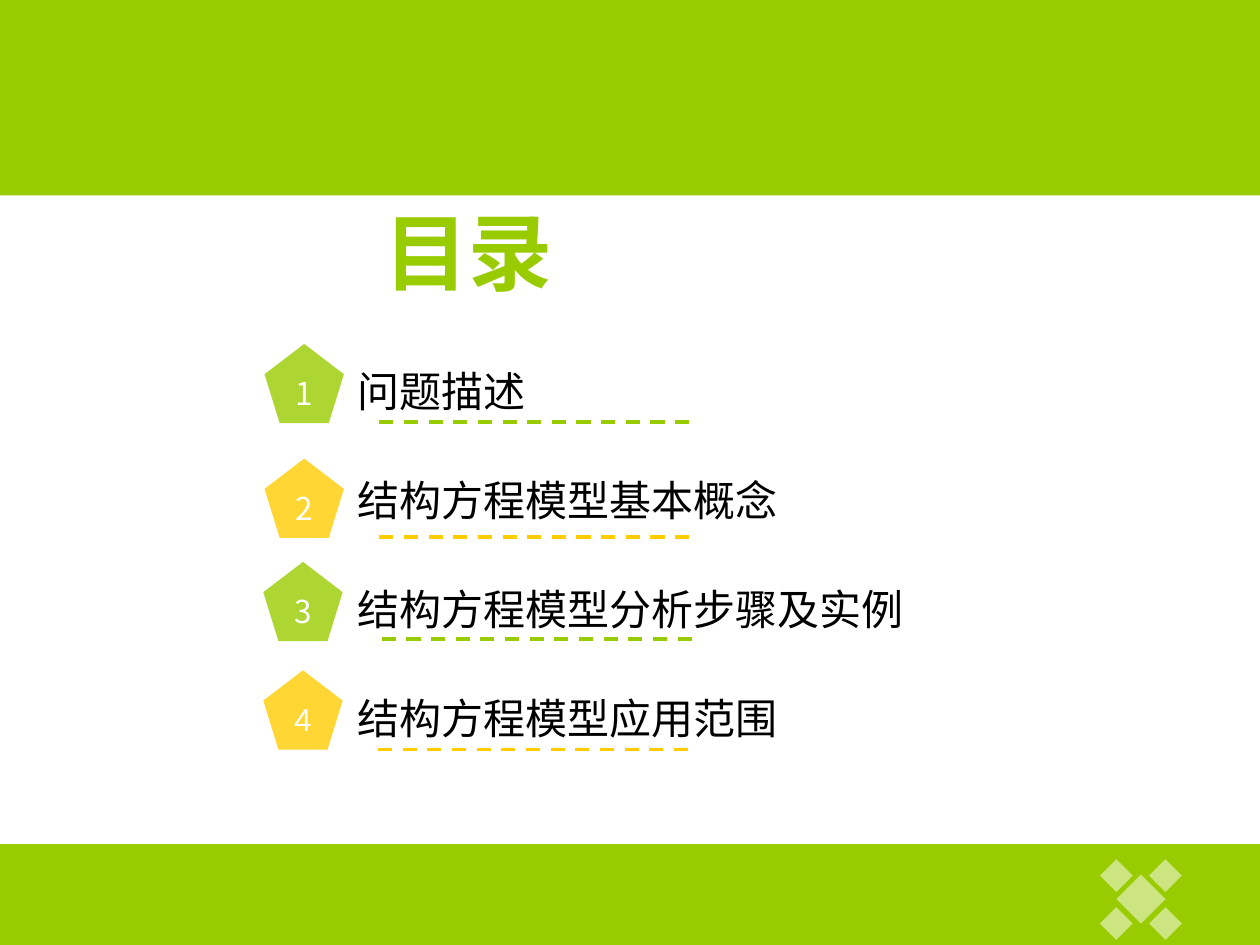
from dataclasses import dataclass

from lxml.etree import SubElement
from pptx import Presentation
from pptx.dml.color import RGBColor
from pptx.enum.dml import MSO_LINE
from pptx.enum.shapes import MSO_CONNECTOR, MSO_SHAPE
from pptx.enum.text import MSO_ANCHOR, PP_ALIGN
from pptx.oxml.ns import qn
from pptx.util import Inches, Pt

GREEN = RGBColor(0x99, 0xCC, 0x00)
YELLOW = RGBColor(0xFF, 0xCC, 0x00)
WHITE = RGBColor(0xFF, 0xFF, 0xFF)
BLACK = RGBColor(0x00, 0x00, 0x00)
LATIN_FONT = "Arial"
CHINESE_FONT = "Noto Sans CJK SC"
BADGE_SIZE = 0.63
RULE_LENGTH = 2.52


@dataclass(frozen=True)
class Topic:
    title: str
    color: RGBColor
    badge_left: float
    badge_top: float
    rule_left: float
    rule_top: float
    badge_font: str = CHINESE_FONT


@dataclass(frozen=True)
class Diamond:
    left: float
    top: float
    size: float


TOPICS = (
    Topic("问题描述", GREEN, 2.1, 2.73, 3.01, 3.35),
    Topic("结构方程模型基本概念", YELLOW, 2.1, 3.64, 3.01, 4.26),
    Topic("结构方程模型分析步骤及实例", GREEN, 2.09, 4.46, 3.03, 5.07),
    Topic("结构方程模型应用范围", YELLOW, 2.09, 5.32, 3, 5.95, LATIN_FONT),
)
DIAMONDS = (
    Diamond(8.86, 6.94, 0.39),
    *(Diamond(left, top, 0.26) for top in (7.2, 6.82) for left in (8.73, 9.12)),
)


def add_block(page, kind, left: float, top: float, width: float, height: float,
              color: RGBColor, opacity: int = 100):
    block = page.shapes.add_shape(
        kind, Inches(left), Inches(top), Inches(width), Inches(height))
    block.shadow.inherit = False
    block.fill.solid()
    block.fill.fore_color.rgb = color
    block.line.fill.background()
    if opacity < 100:
        tint = block.fill._xPr.find(qn("a:solidFill"))[0]
        SubElement(tint, qn("a:alpha"), val=str(opacity * 1000))
    return block


def write_span(para, text: str, color: RGBColor, **font_values) -> None:
    span = para.add_run()
    span.text = text
    span.font.color.rgb = color
    for name, value in font_values.items():
        setattr(span.font, name, value)
    SubElement(span.font._element, qn("a:ea"), typeface=CHINESE_FONT)


def add_text_frame(page, left: float, top: float, width: float, height: float):
    box = page.shapes.add_textbox(
        Inches(left), Inches(top), Inches(width), Inches(height))
    box.text_frame.word_wrap = True
    return box.text_frame


def add_badge(page, number: int, topic: Topic) -> None:
    badge = add_block(page, MSO_SHAPE.REGULAR_PENTAGON, topic.badge_left,
                      topic.badge_top, BADGE_SIZE, BADGE_SIZE, topic.color, 80)
    frame = badge.text_frame
    frame.word_wrap = False
    frame.vertical_anchor = MSO_ANCHOR.MIDDLE
    para = frame.paragraphs[0]
    para.alignment = PP_ALIGN.CENTER
    write_span(para, str(number), WHITE, size=Pt(18), name=topic.badge_font)


def add_rule(page, topic: Topic) -> None:
    rule = page.shapes.add_connector(
        MSO_CONNECTOR.STRAIGHT, Inches(topic.rule_left), Inches(topic.rule_top),
        Inches(topic.rule_left + RULE_LENGTH), Inches(topic.rule_top))
    line_values = {"width": Pt(2), "dash_style": MSO_LINE.DASH}
    rule.line.color.rgb = topic.color
    for name, value in line_values.items():
        setattr(rule.line, name, value)
    SubElement(rule._element.spPr, qn("a:effectLst"))


def add_topic_list(page) -> None:
    frame = add_text_frame(page, 2.74, 2.45, 6.93, 4.13)
    for index, topic in enumerate(TOPICS):
        para = frame.add_paragraph() if index else frame.paragraphs[0]
        para.line_spacing = 2.0
        if index:
            para.space_before = Pt(4.8)
        write_span(para, topic.title, BLACK, size=Pt(24), name=LATIN_FONT)


def add_heading(page) -> None:
    para = add_text_frame(page, 2.16, 1.54, 3.12, 0.9).paragraphs[0]
    para.alignment = PP_ALIGN.CENTER
    write_span(para, "目录", GREEN, size=Pt(48), name=LATIN_FONT, bold=True)


def main() -> None:
    deck = Presentation()
    deck.slide_width, deck.slide_height = Inches(10), Inches(7.5)
    page = deck.slides.add_slide(deck.slide_layouts[6])
    for top, height in ((0, 1.55), (6.7, 0.8)):
        add_block(page, MSO_SHAPE.RECTANGLE, 0, top, 10, height, GREEN)
    for diamond in DIAMONDS:
        add_block(page, MSO_SHAPE.DIAMOND, diamond.left, diamond.top,
                  diamond.size, diamond.size, WHITE, 50)
    add_topic_list(page)
    add_heading(page)
    for number, topic in enumerate(TOPICS, 1):
        add_badge(page, number, topic)
        add_rule(page, topic)
    deck.save("out.pptx")


if __name__ == "__main__":
    main()
